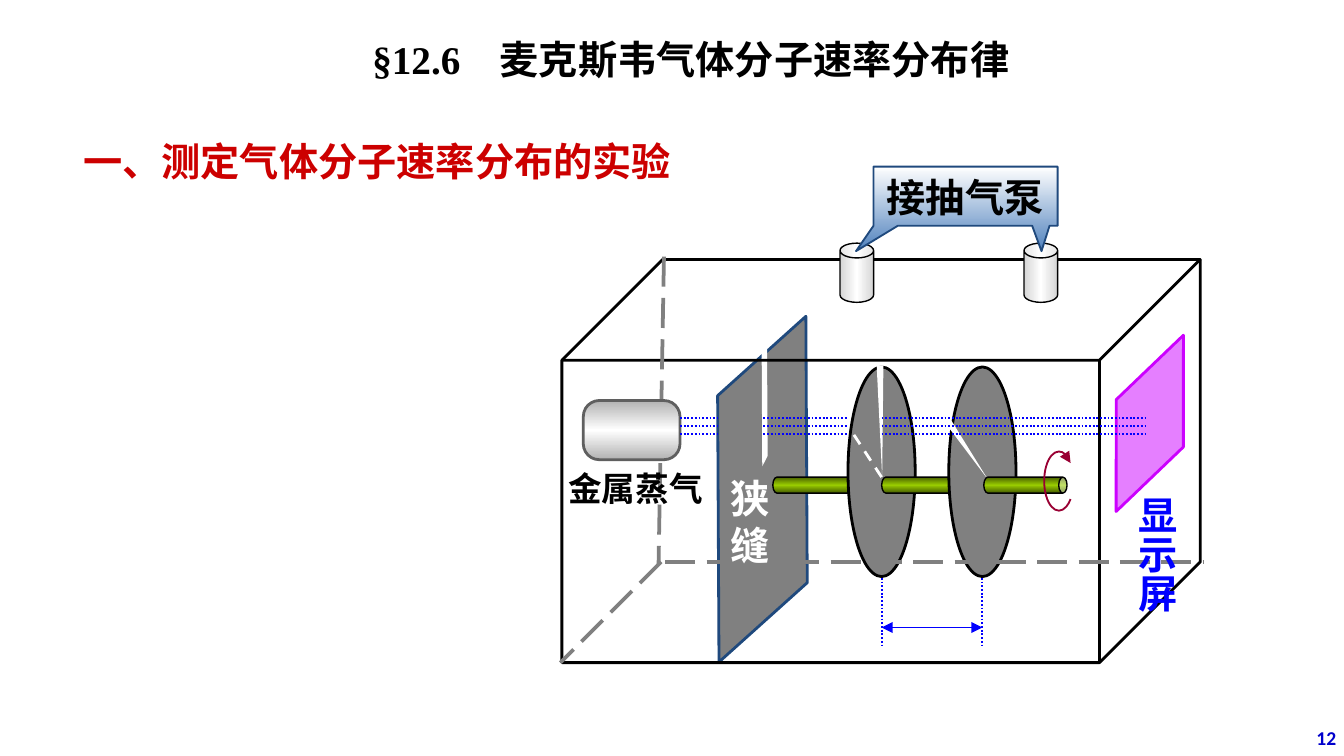
from lxml.etree import SubElement
from pptx import Presentation
from pptx.dml.color import RGBColor
from pptx.enum.dml import MSO_LINE
from pptx.enum.shapes import MSO_CONNECTOR, MSO_SHAPE
from pptx.enum.text import MSO_ANCHOR, MSO_AUTO_SIZE, PP_ALIGN
from pptx.oxml.ns import qn
from pptx.util import Pt

BLACK = RGBColor(0x00, 0x00, 0x00)
WHITE = RGBColor(0xFF, 0xFF, 0xFF)
GRAY = RGBColor(0x80, 0x80, 0x80)
SILVER = RGBColor(0xB2, 0xB2, 0xB2)
PALE_GRAY = RGBColor(0xD5, 0xD5, 0xD5)
DARK_GRAY = RGBColor(0x5F, 0x5F, 0x5F)
NAVY = RGBColor(0x1F, 0x49, 0x7D)
SKY = RGBColor(0x4F, 0x81, 0xBD)
BLUE = RGBColor(0x00, 0x00, 0xFF)
PAGE_BLUE = RGBColor(0x00, 0x00, 0xCC)
RED = RGBColor(0xCC, 0x00, 0x00)
CRIMSON = RGBColor(0x99, 0x00, 0x33)
MAGENTA = RGBColor(0xCC, 0x00, 0xFF)
OLIVE = RGBColor(0x47, 0x5E, 0x00)
LIME = RGBColor(0x99, 0xCC, 0x00)


def set_gradient(shape, colors, angle):
    shape.fill.background()
    properties = shape._element.spPr
    empty_fill = properties.find(qn("a:noFill"))
    gradient = SubElement(properties, qn("a:gradFill"), rotWithShape="0")
    stops = SubElement(gradient, qn("a:gsLst"))
    for index, color in enumerate(colors):
        position = 100000 * index // (len(colors) - 1)
        stop = SubElement(stops, qn("a:gs"), pos=str(position))
        SubElement(stop, qn("a:srgbClr"), val=str(color))
    SubElement(gradient, qn("a:lin"), ang=str(angle * 60000), scaled="1")
    properties.replace(empty_fill, gradient)


def paint(shape, fill=None, line=None, width=1, angle=90):
    shape.shadow.inherit = False
    if isinstance(fill, list):
        set_gradient(shape, fill, angle)
    elif fill is None:
        shape.fill.background()
    else:
        shape.fill.solid()
        shape.fill.fore_color.rgb = fill
    if line is None:
        shape.line.fill.background()
    else:
        shape.line.color.rgb = line
        shape.line.width = Pt(width)


def add_figure(page, kind, bounds, adjustments=(), rotation=0, flip=False, **style):
    shape = page.shapes.add_shape(kind, *map(Pt, bounds))
    for index, value in enumerate(adjustments):
        shape.adjustments[index] = value
    shape.rotation = rotation
    if flip:
        shape._element.spPr.find(qn("a:xfrm")).set("flipH", "1")
    paint(shape, **style)
    return shape


def add_arrowheads(shape, ends):
    outline = shape._element.spPr.find(qn("a:ln"))
    for end in ends:
        SubElement(outline, qn(f"a:{end}"), type="triangle")


def add_line(page, start, end, color, width, dash=None, arrows=()):
    line = page.shapes.add_connector(
        MSO_CONNECTOR.STRAIGHT, *map(Pt, (*start, *end)))
    line.line.color.rgb = color
    line.line.width = Pt(width)
    if dash is not None:
        line.line.dash_style = dash
    add_arrowheads(line, arrows)
    SubElement(line._element.spPr, qn("a:effectLst"))


def write_text(box, text, color, size=21, align=PP_ALIGN.LEFT, font="Times New Roman"):
    frame = box.text_frame
    frame.word_wrap = True
    frame.auto_size = MSO_AUTO_SIZE.SHAPE_TO_FIT_TEXT
    frame.vertical_anchor = MSO_ANCHOR.TOP
    para = frame.paragraphs[0]
    para.alignment = align
    span = para.add_run()
    span.text = text
    span.font.name = font
    span.font.size = Pt(size)
    span.font.bold = True
    span.font.color.rgb = color


def add_label(page, bounds, text, color, **style):
    box = page.shapes.add_textbox(*map(Pt, bounds))
    write_text(box, text, color, **style)
    return box


def add_title(page):
    title = page.shapes.title
    title.left, title.top, title.width, title.height = map(Pt, (143.3, 15.1, 453.6, 32.4))
    write_text(title, "§12.6　麦克斯韦气体分子速率分布律", BLACK, align=PP_ALIGN.CENTER)


def add_rod(page, left):
    add_figure(page, MSO_SHAPE.CAN, (left, 237.6, 8.6, 44.6), [0.52], 90,
               fill=[OLIVE, LIME, OLIVE], line=BLACK, width=0.75)


def add_disc(page, left):
    add_figure(page, MSO_SHAPE.OVAL, (left, 196.6, 36, 112.3),
               fill=GRAY, line=BLACK, width=1.5)


def add_slit_and_discs(page):
    add_figure(page, MSO_SHAPE.PARALLELOGRAM, (316, 238.3, 185, 47.5), [0.89], 89.7,
               True, fill=GRAY, line=NAVY, width=1.5)
    add_figure(page, MSO_SHAPE.PARALLELOGRAM, (376.6, 215.3, 66.2, 2.9), [1.94], 89.7,
               True, fill=WHITE)
    for rod_left, disc_left in ((432, 454.3), (490.3, 508.3)):
        add_rod(page, rod_left)
        add_disc(page, disc_left)
    add_figure(page, MSO_SHAPE.ISOSCELES_TRIANGLE, (516.2, 221, 3.6, 38.9),
               rotation=145.6, fill=WHITE)


def add_chamber(page):
    add_figure(page, MSO_SHAPE.CUBE, (301, 139, 342, 216), [0.25], line=BLACK, width=1.5)
    for start, end in (((355.7, 137.5), (352.8, 302.4)),
                       ((356.4, 301), (644.4, 301)),
                       ((354.2, 301), (300.2, 355))):
        add_line(page, start, end, GRAY, 0, MSO_LINE.LONG_DASH)
    add_figure(page, MSO_SHAPE.ROUNDED_RECTANGLE, (312.5, 214.6, 51.8, 31.7), [0.27],
               fill=[SILVER, WHITE, SILVER], line=DARK_GRAY, width=1.5)
    add_figure(page, MSO_SHAPE.ISOSCELES_TRIANGLE, (470.2, 195.8, 3.6, 59.8),
               rotation=178.9, fill=WHITE)
    screen = add_figure(page, MSO_SHAPE.PARALLELOGRAM, (570.2, 205.2, 91.4, 43.2),
                        [0.96], 136.2, fill=MAGENTA, line=MAGENTA, width=1.5)
    color = screen._element.spPr.find(qn("a:solidFill")).find(qn("a:srgbClr"))
    SubElement(color, qn("a:alpha"), val="50000")
    for left in (450, 548.6):
        add_figure(page, MSO_SHAPE.CAN, (left, 130.3, 18, 31.7), [0.44],
                   fill=[PALE_GRAY, WHITE, PALE_GRAY], line=BLACK, width=0.75, angle=0)


def add_spacing_mark(page):
    for x in (472.3, 526.3):
        add_line(page, (x, 309.6), (x, 345.6), BLUE, 1, MSO_LINE.ROUND_DOT)
    add_line(page, (472.3, 336.2), (526.3, 336.2), BLUE, 1, arrows=("headEnd", "tailEnd"))


def add_beams(page):
    for y in (223.9, 228.2, 232.6):
        for start, end in ((364.3, 384.5), (409, 454.3), (472.3, 614.9)):
            add_line(page, (start, y), (end, y), BLUE, 1, MSO_LINE.ROUND_DOT)


def add_pump_callout(page):
    points = [(458.6, 134.6), (468, 121), (468, 89.3), (566.6, 89.3), (566.6, 121),
              (562.3, 121), (558, 134.6), (553, 121), (481, 121)]
    corners = [(Pt(x), Pt(y)) for x, y in points]
    builder = page.shapes.build_freeform(*corners[0])
    builder.add_line_segments(corners[1:], close=True)
    paint(builder.convert_to_shape(), [WHITE, SKY], NAVY)
    add_label(page, (468, 89.3, 112.3, 32.4), "接抽气泵", BLACK)


def add_rotation_arrow(page):
    arrow = add_figure(page, MSO_SHAPE.ARC, (559.4, 241.9, 15.8, 31.7), [34.2, 181.8],
                       line=CRIMSON)
    add_arrowheads(arrow, ["tailEnd"])


def main():
    deck = Presentation()
    deck.slide_width = Pt(720)
    deck.slide_height = Pt(405)
    page = deck.slides.add_slide(deck.slide_layouts[5])
    add_title(page)
    add_label(page, (555.1, 385.2, 167.8, 21.6), "12", PAGE_BLUE, size=10.5,
              align=PP_ALIGN.RIGHT, font="Calibri")
    add_label(page, (37.4, 69.8, 452.2, 32.4), "一、测定气体分子速率分布的实验", RED)
    add_slit_and_discs(page)
    add_chamber(page)
    add_spacing_mark(page)
    add_beams(page)
    add_label(page, (297.4, 247, 135.4, 28.8), "金属蒸气", BLACK, size=18)
    screen_label = add_label(page, (595.4, 258.5, 40.3, 90), "显示屏", BLUE)
    screen_label.text_frame._txBody.bodyPr.set("vert", "eaVert")
    add_label(page, (384.5, 250.6, 44.6, 58.3), "狭缝", WHITE)
    add_line(page, (472.3, 255.6), (455.8, 230.4), WHITE, 1.5, MSO_LINE.DASH)
    add_pump_callout(page)
    add_rod(page, 545)
    add_rotation_arrow(page)
    deck.save("out.pptx")


if __name__ == "__main__":
    main()
